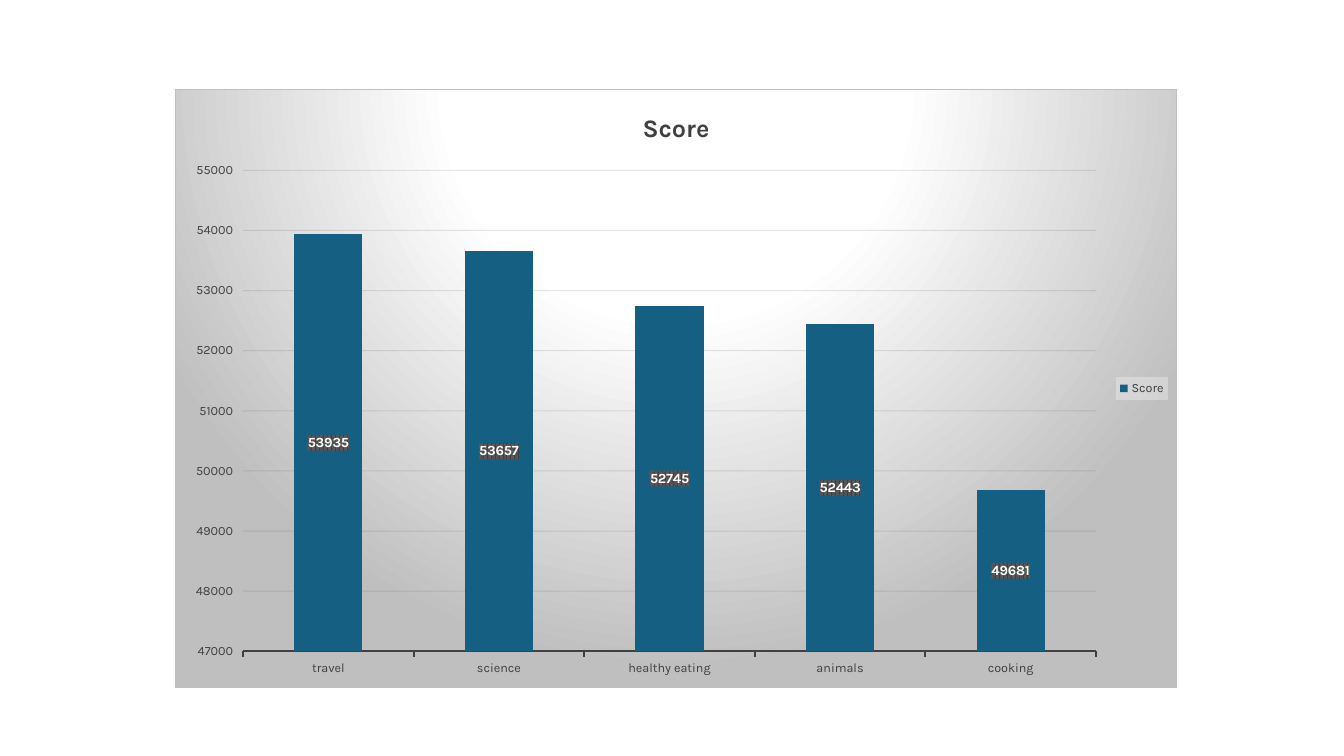
from typing import NamedTuple

from pptx import Presentation
from pptx.chart.chart import Chart
from pptx.chart.data import CategoryChartData
from pptx.dml.color import RGBColor
from pptx.enum.chart import XL_CHART_TYPE, XL_LABEL_POSITION, XL_LEGEND_POSITION, XL_TICK_MARK
from pptx.oxml import parse_xml
from pptx.oxml.ns import nsdecls, qn
from pptx.oxml.xmlchemy import BaseOxmlElement
from pptx.text.text import Font
from pptx.util import Inches, Pt

FONT_NAME = "Karla"
WHITE = RGBColor(0xFF, 0xFF, 0xFF)
BLACK = RGBColor(0x00, 0x00, 0x00)
GRID_INK = RGBColor(0x0D, 0x0D, 0x0D)
DARK_GREY = RGBColor(0x40, 0x40, 0x40)
MID_GREY = RGBColor(0x59, 0x59, 0x59)
SILVER = RGBColor(0xBF, 0xBF, 0xBF)
PALE_GREY = RGBColor(0xF2, 0xF2, 0xF2)
TEAL = RGBColor(0x15, 0x60, 0x82)


class TopicScore(NamedTuple):
    topic: str
    score: int


class Stop(NamedTuple):
    percent: int
    color: RGBColor


TOPIC_SCORES = [
    TopicScore("travel", 53935),
    TopicScore("science", 53657),
    TopicScore("healthy eating", 52745),
    TopicScore("animals", 52443),
    TopicScore("cooking", 49681),
]
BACKDROP_STOPS = [Stop(0, WHITE), Stop(39, WHITE), Stop(100, SILVER)]


def style_font(font: Font, size: float, color: RGBColor, bold: bool = False) -> None:
    font.name = FONT_NAME
    font.size = Pt(size)
    font.bold = bold
    font.color.rgb = color


def color_xml(color: RGBColor, alpha: int = 100) -> str:
    return f'<a:srgbClr val="{color}"><a:alpha val="{alpha * 1000}"/></a:srgbClr>'


def add_surface(owner: BaseOxmlElement, fill: str, line: str = "<a:ln><a:noFill/></a:ln>") -> None:
    surface = parse_xml(f'<c:spPr {nsdecls("c", "a")}>{fill}{line}</c:spPr>')
    owner.find(qn("c:txPr")).addprevious(surface)


def style_backdrop(chart: Chart) -> None:
    stops = "".join(
        f'<a:gs pos="{stop.percent * 1000}">{color_xml(stop.color)}</a:gs>'
        for stop in BACKDROP_STOPS
    )
    gradient = (
        f'<a:gradFill><a:gsLst>{stops}</a:gsLst><a:path path="circle">'
        '<a:fillToRect l="50000" t="-80000" r="50000" b="180000"/>'
        "</a:path></a:gradFill>"
    )
    border = f'<a:ln w="{Pt(0.75)}"><a:solidFill>{color_xml(SILVER)}</a:solidFill></a:ln>'
    add_surface(chart.element, gradient, border)


def style_axes(chart: Chart) -> None:
    topics, scores = chart.category_axis, chart.value_axis
    for axis in (topics, scores):
        axis.major_tick_mark = XL_TICK_MARK.OUTSIDE
        axis.minor_tick_mark = XL_TICK_MARK.NONE
        style_font(axis.tick_labels.font, 9, DARK_GREY)
    topics.format.line.color.rgb = DARK_GREY
    topics.format.line.width = Pt(1.5)

    scores.minimum_scale, scores.maximum_scale, scores.major_unit = 47000, 55000, 1000
    scores.format.line.fill.background()
    scores.has_major_gridlines = True
    gridlines = scores.major_gridlines.format.line
    gridlines.color.rgb = GRID_INK
    gridlines.width = Pt(0.75)
    for ink in chart.element.iterfind(f'.//{qn("c:majorGridlines")}//{qn("a:srgbClr")}'):
        ink.append(parse_xml(f'<a:alpha {nsdecls("a")} val="10000"/>'))


def style_bars(chart: Chart) -> None:
    plot = chart.plots[0]
    plot.gap_width = 150
    plot.vary_by_categories = False
    bars = plot.series[0]
    bars.format.fill.solid()
    bars.format.fill.fore_color.rgb = TEAL
    bars.invert_if_negative = False
    labels = bars.data_labels
    labels.show_value = True
    labels.position = XL_LABEL_POSITION.CENTER
    style_font(labels.font, 10, WHITE, bold=True)
    pattern = (
        f'<a:pattFill prst="pct75"><a:fgClr>{color_xml(DARK_GREY)}</a:fgClr>'
        f"<a:bgClr>{color_xml(MID_GREY)}</a:bgClr></a:pattFill>"
    )
    add_surface(chart.element.find(f'.//{qn("c:ser")}/{qn("c:dLbls")}'), pattern)


def style_legend(chart: Chart) -> None:
    chart.has_legend = True
    legend = chart.legend
    legend.position = XL_LEGEND_POSITION.RIGHT
    legend.include_in_layout = False
    style_font(legend.font, 9, DARK_GREY)
    veil = f"<a:solidFill>{color_xml(PALE_GREY, 39)}</a:solidFill>"
    add_surface(chart.element.find(f'.//{qn("c:legend")}'), veil)


def main() -> None:
    deck = Presentation()
    deck.slide_width, deck.slide_height = Inches(13.33), Inches(7.5)
    slide = deck.slides.add_slide(deck.slide_layouts[6])

    score_data = CategoryChartData()
    score_data.categories = [entry.topic for entry in TOPIC_SCORES]
    score_data.add_series("Score", [entry.score for entry in TOPIC_SCORES])
    across, down = deck.slide_width / 100, deck.slide_height / 100
    chart = slide.shapes.add_chart(
        XL_CHART_TYPE.COLUMN_CLUSTERED,
        int(13.05 * across),
        int(11.73 * down),
        int(74.5 * across),
        int(79.33 * down),
        score_data,
    ).chart

    style_font(chart.font, 10, BLACK)
    chart.has_title = True
    heading = chart.chart_title.text_frame
    heading.text = "Score"
    style_font(heading.paragraphs[0].runs[0].font, 18, DARK_GREY, bold=True)
    style_backdrop(chart)
    style_axes(chart)
    style_bars(chart)
    style_legend(chart)
    deck.save("out.pptx")


if __name__ == "__main__":
    main()
